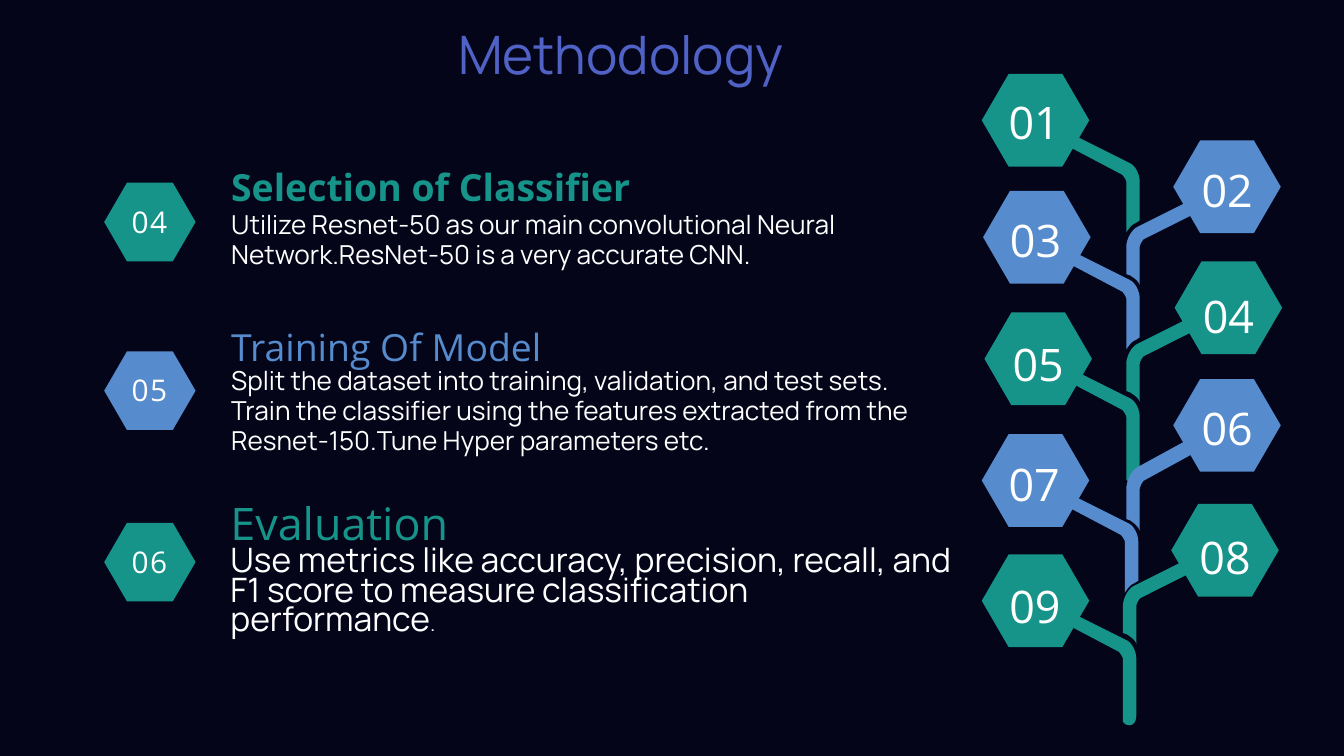
from dataclasses import dataclass

from pptx import Presentation
from pptx import util as u
from pptx.dml import color
from pptx.enum import shapes, text

PX = 4572  # EMU per px, 200 px to the inch


@dataclass(frozen=True)
class Theme:
    back: str = "05051A"
    teal: str = "16948A"
    blue: str = "568CCD"
    title: str = "5062C6"
    white: str = "FFFFFF"
    sans: str = "Open Sans"
    body: str = "Manrope"
    huge: float = 28.4
    big: float = 24
    head: float = 20
    large: float = 18
    mark: float = 16
    note: float = 14
    tiny: float = 11.2


T = Theme()

# Stem outlines in units of 2 px: two numbers make a line, six a curve
UNIT = 2
BEND = [(41, 33), (41, 32, 39, 29, 38, 28), (0, 8), (2, 6, 4, 3, 5, 0),
        (43, 19), (48, 21, 51, 28, 51, 33)]
STEMS = {
    "left": (142, [(51, 33), (51, 62), (48, 64),
                   (45, 65, 43, 68, 41, 71)] + BEND),
    "foot": (168, [(51, 33), (51, 75), (51, 81, 48, 84, 43, 82),
                   (41, 80)] + BEND),
    "right": (126, [(51, 9), (13, 28), (12, 29, 10, 32, 10, 34), (10, 62),
                    (9, 59, 6, 57, 3, 55), (0, 54), (0, 34),
                    (0, 28, 4, 21, 8, 19), (46, 0), (47, 3, 49, 6, 51, 9)]),
}


def trace(steps, count=8):
    """Turn lines and cubic curves into a list of points."""
    dots = [steps[0]]
    for step in steps[1:]:
        if len(step) == 2:
            dots.append(step)
            continue
        knots = [dots[-1], step[:2], step[2:4], step[4:]]
        for i in range(1, count + 1):
            t = i / count
            mix = ((1 - t) ** 3, 3 * t * (1 - t) ** 2,
                   3 * t * t * (1 - t), t ** 3)
            dots.append(tuple(sum(m * k[a] for m, k in zip(mix, knots))
                              for a in (0, 1)))
    return dots


class Deck:
    def __init__(self, wide, high):
        self.prs = Presentation()
        self.prs.slide_width = wide * PX
        self.prs.slide_height = high * PX
        self.slide = self.prs.slides.add_slide(self.prs.slide_layouts[6])
        self.paint(self.slide.background.fill, T.back)

    def paint(self, fill, hue):
        fill.solid()
        fill.fore_color.rgb = color.RGBColor.from_string(hue)

    def dress(self, shape, hue):
        self.paint(shape.fill, hue)
        shape.line.fill.background()
        shape.shadow.inherit = False

    def hexagon(self, x, y, w, h, hue):
        shape = self.slide.shapes.add_shape(
            shapes.MSO_SHAPE.HEXAGON, x * PX, y * PX, w * PX, h * PX)
        shape.adjustments[0] = 0.29
        self.dress(shape, hue)

    def stem(self, kind, x, y, high, hue):
        base, steps = STEMS[kind]
        dots = [((x + a * UNIT) * PX, (y + b * UNIT * high / base) * PX)
                for a, b in trace(steps)]
        form = self.slide.shapes.build_freeform(*map(round, dots[0]))
        form.add_line_segments(dots[1:], close=True)
        self.dress(form.convert_to_shape(), hue)

    def text(self, x, y, w, h, paras, gap, mid=False, inset=0, grow=True):
        """Each paragraph is a list of (words, size, font, hue, bold, track)."""
        box = self.slide.shapes.add_textbox(x * PX, y * PX, w * PX, h * PX)
        frame = box.text_frame
        frame.word_wrap = True
        frame.margin_left = frame.margin_right = inset * PX
        frame.margin_top = frame.margin_bottom = inset * PX
        if grow:
            frame.auto_size = text.MSO_AUTO_SIZE.SHAPE_TO_FIT_TEXT
        else:
            frame.vertical_anchor = text.MSO_ANCHOR.MIDDLE
        for i, runs in enumerate(paras):
            para = frame.add_paragraph() if i else frame.paragraphs[0]
            para.line_spacing = u.Pt(gap)
            para.alignment = (text.PP_ALIGN.CENTER if mid
                              else text.PP_ALIGN.LEFT)
            for words, size, face, hue, bold, track in runs:
                run = para.add_run()
                run.text = words
                run.font.size = u.Pt(size)
                run.font.name = face
                run.font.bold = bold
                run.font.color.rgb = color.RGBColor.from_string(hue)
                if track:
                    run.font._element.set("spc", str(track))


def run(words, size, face=T.body, hue=T.white, bold=False, track=0):
    return words, size, face, hue, bold, track


def main():
    deck = Deck(2000, 1125)

    # Tree: number, hue, stem (kind, x, y, height), hexagon x y, label x y
    nodes = [
        ("03", T.blue, ("left", 1594, 378, 142), (1463, 284), (1473, 304)),
        ("01", T.teal, ("left", 1594, 204, 142), (1461, 110), (1471, 128)),
        ("05", T.teal, ("foot", 1594, 554, 168), (1465, 465), (1477, 488)),
        ("02", T.blue, ("right", 1676, 300, 126), (1746, 209), (1758, 229)),
        ("04", T.teal, ("right", 1676, 474, 126), (1748, 389), (1760, 416)),
        ("06", T.blue, ("right", 1676, 654, 138), (1746, 564), (1758, 584)),
        ("07", T.blue, ("left", 1592, 740, 142), (1461, 646), (1471, 666)),
        ("09", T.teal, ("foot", 1589, 914, 168), (1461, 825), (1472, 848)),
        ("08", T.teal, ("right", 1671, 834, 126), (1743, 750), (1755, 776)),
    ]
    for num, hue, stem, spot, label in nodes:
        deck.stem(*stem, hue)
        deck.hexagon(*spot, 160, 138, hue)
        deck.text(*label, 136, 88, [[run(num, T.big, T.sans)]], 33.5,
                  mid=True)

    # Title
    deck.text(682, 16, 832, 102,
              [[run("Methodology", T.huge, hue=T.title)]], 39.8)

    # Steps: number, hue, badge y, heading, its size, bold, its box,
    # body paragraphs, body box, line pitch
    steps = [
        ("04", T.teal, 272, "Selection of Classifier", T.head, True,
         (344, 252, 656, 58),
         [[run("Utilize Resnet-50 as our main convolutional Neural "
               "Network.ResNet-50 is a very accurate CNN.", T.note)]],
         (344, 313, 1024, 90), 15.9),
        ("05", T.blue, 523, "Training Of Model", T.head, False,
         (344, 490, 536, 58),
         [[run("Split the dataset into training, validation, and test sets.",
               T.note)],
          [run("Train the classifier using the features extracted from the "
               "Resnet-150.Tune Hyper parameters etc.", T.note)]],
         (344, 545, 1038, 178), 15.9),
        ("06", T.teal, 778, "Evaluation", T.big, False,
         (343, 759, 478, 60),
         [[run("Use metrics like accuracy, precision, recall, and F1 score "
               "to measure classification performance", T.large),
           run(".", T.tiny)]],
         (343, 819, 1080, 130), 15.7),
    ]
    for num, hue, top, head, size, bold, spot, body, area, gap in steps:
        deck.hexagon(155, top, 136, 117, hue)
        deck.text(174, top - 10, 97, 126,
                  [[run(num, T.mark, T.sans, track=80)]],
                  22.4, mid=True, inset=6, grow=False)
        deck.text(*spot, [[run(head, size, T.sans, hue, bold)]], 21.1)
        deck.text(*area, body, gap)

    deck.prs.save("out.pptx")


if __name__ == "__main__":
    main()
